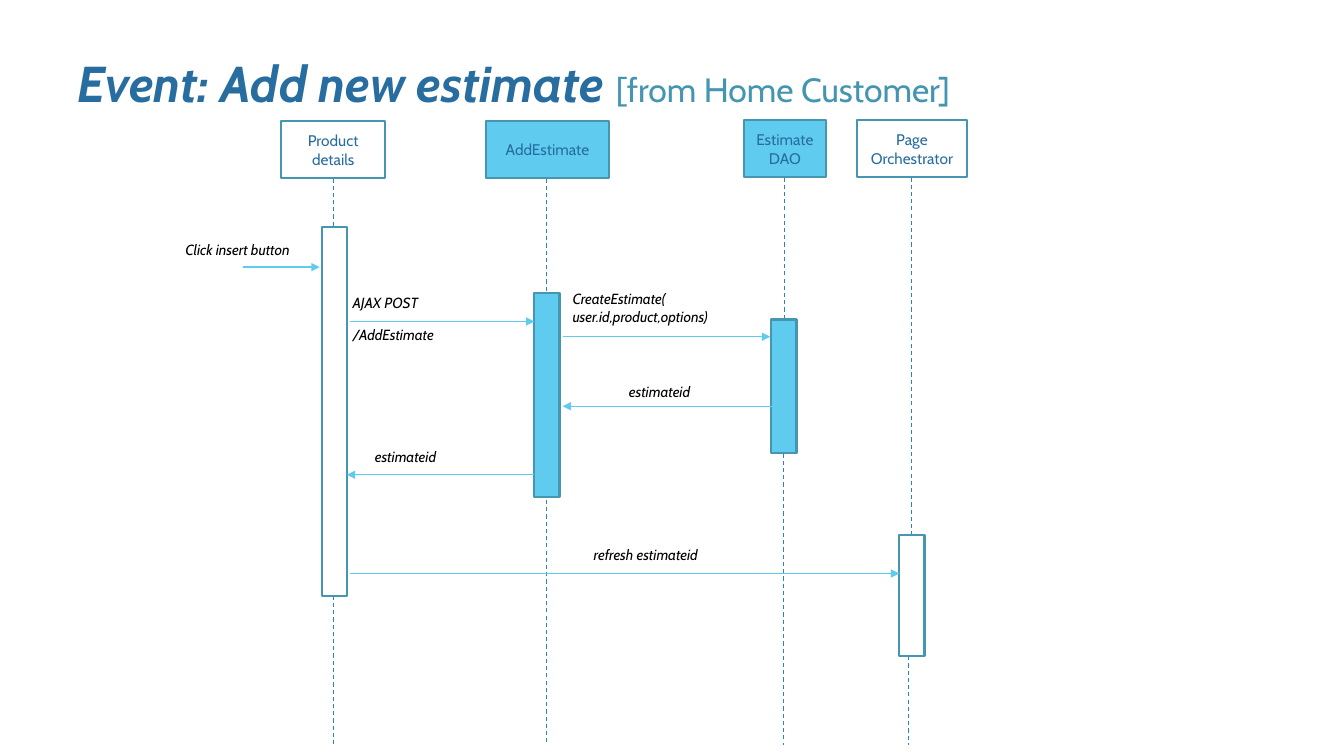
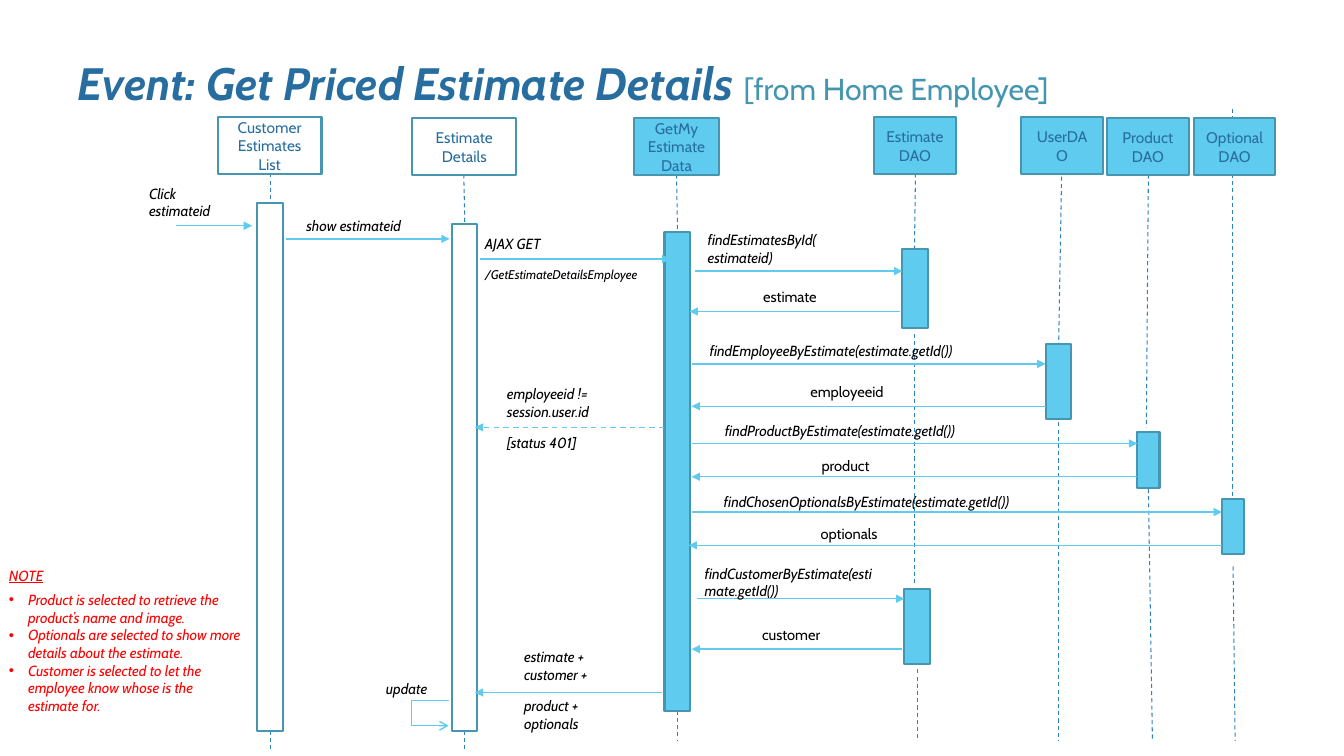
from itertools import pairwise
from lxml.etree import SubElement
from pptx import Presentation
from pptx.dml.color import RGBColor
from pptx.enum.dml import MSO_LINE
from pptx.enum.shapes import MSO_CONNECTOR, MSO_SHAPE
from pptx.enum.text import MSO_ANCHOR, PP_ALIGN
from pptx.oxml.ns import qn
from pptx.util import Cm, Pt

FONT = "Cabin"
NAVY = RGBColor(0x28, 0x6D, 0x9F)
TEAL = RGBColor(0x44, 0x95, 0xB0)
BORDER = RGBColor(0x46, 0x96, 0xB1)
SKY = RGBColor(0x5F, 0xCB, 0xEF)
LIFELINE = RGBColor(0x2E, 0x83, 0xC3)
BLACK = RGBColor(0, 0, 0)
RED = RGBColor(0xFF, 0, 0)
HEADER_HEIGHT = 0.57
LABEL_HEIGHT = 0.28
CM_PER_INCH = 2.54

# Participants: name, filled, header (left, top, width),
# bars (left, top, width, height), lifelines (x, y, x, y).
# Messages: from x, to x, y, dashed.
# Labels: left, top, width, italic, blocks of (text, size).
ADD_ESTIMATE = {
    "title": ("Event: Add new estimate ", "[from Home Customer]", 36),
    "participants": [
        ("Product details", False, (2.79, 1.2, 1.03), [(3.19, 2.25, 0.25, 3.66)],
         [(3.31, 1.77, 3.31, 2.25), (3.31, 5.91, 3.31, 7.39)]),
        ("AddEstimate", True, (4.82, 1.2, 1.22), [(5.3, 2.91, 0.25, 2.02)],
         [(5.42, 1.77, 5.42, 2.91), (5.42, 4.96, 5.42, 7.39)]),
        ("Estimate\nDAO", True, (7.38, 1.19, 0.81), [(7.65, 3.17, 0.25, 1.32)],
         [(7.78, 1.76, 7.78, 3.17), (7.77, 4.5, 7.77, 7.39)]),
        ("Page Orchestrator", False, (8.5, 1.19, 1.09), [(8.92, 5.31, 0.25, 1.2)],
         [(9.04, 1.76, 9.04, 5.31), (9.01, 6.51, 9.01, 7.39)]),
    ],
    "messages": [
        (2.41, 3.17, 2.65, False),
        (3.47, 5.3, 3.19, False),
        (5.58, 7.64, 3.34, False),
        (7.66, 5.58, 4.03, False),
        (5.3, 3.44, 4.71, False),
        (3.47, 8.92, 5.69, False),
    ],
    "labels": [
        (1.74, 2.34, 1.35, True, [("Click insert button", 10.5)]),
        (3.4, 2.87, 2.37, True, [("AJAX POST", 10.5), ("/AddEstimate", 10.5)]),
        (5.58, 2.83, 1.99, True, [("CreateEstimate(\nuser.id,product,options)", 10.5)]),
        (6.14, 3.75, 0.93, True, [("estimateid", 10.5)]),
        (3.62, 4.39, 0.93, True, [("estimateid", 10.5)]),
        (5.79, 5.37, 2.09, True, [("refresh estimateid", 10.5)]),
    ],
}

PRICED_DETAILS = {
    "title": ("Event: Get Priced Estimate Details ", "[from Home Employee]", 32.4),
    "participants": [
        ("Customer\nEstimates\nList", False, (2.16, 1.16, 1.03), [(2.55, 2.01, 0.26, 5.24)],
         [(2.68, 1.72, 2.68, 2.01), (2.68, 7.25, 2.68, 7.43)]),
        ("Estimate\nDetails", False, (4.09, 1.17, 1.03), [(4.48, 2.22, 0.25, 5.03)],
         [(4.6, 1.73, 4.61, 2.22), (4.61, 7.25, 4.61, 7.43)]),
        ("GetMy\nEstimate\nData", True, (6.29, 1.17, 0.84), [(6.59, 2.3, 0.25, 4.75)],
         [(6.71, 1.73, 6.72, 2.3), (6.72, 7.05, 6.72, 7.35)]),
        ("Estimate\nDAO", True, (8.67, 1.16, 0.81),
         [(8.95, 2.47, 0.25, 0.78), (8.97, 5.84, 0.25, 0.75)],
         [(9.08, 1.72, 9.07, 2.47), (9.07, 3.31, 9.07, 5.81), (9.1, 6.64, 9.1, 7.33)]),
        ("UserDAO", True, (10.13, 1.16, 0.81), [(10.37, 3.41, 0.25, 0.75)],
         [(10.53, 1.68, 10.5, 3.41), (10.5, 4.19, 10.5, 7.35)]),
        ("Product\nDAO", True, (10.98, 1.17, 0.81), [(11.28, 4.29, 0.22, 0.55)],
         [(11.39, 1.73, 11.37, 4.24), (11.39, 4.85, 11.43, 7.35)]),
        ("Optional\nDAO", True, (11.84, 1.17, 0.81), [(12.12, 4.95, 0.22, 0.55)],
         [(12.22, 1.08, 12.22, 4.94), (12.23, 5.62, 12.25, 7.35)]),
    ],
    "messages": [
        (1.75, 2.5, 2.24, False),
        (2.84, 4.46, 2.37, False),
        (4.76, 6.65, 2.57, False),
        (6.89, 8.95, 2.69, False),
        (8.93, 6.84, 3.09, False),
        (6.86, 10.37, 3.61, False),
        (10.37, 6.86, 4.03, False),
        (6.59, 4.71, 4.24, True),
        (6.86, 11.28, 4.4, False),
        (11.28, 6.86, 4.73, False),
        (6.86, 12.12, 5.08, False),
        (12.12, 6.83, 5.41, False),
        (6.91, 8.97, 5.94, False),
        (8.95, 6.86, 6.44, False),
        (6.57, 4.71, 6.87, False),
    ],
    "labels": [
        (1.38, 1.78, 0.98, True, [("Click\nestimateid", 10.5)]),
        (2.94, 2.1, 1.5, True, [("show estimateid", 10.5)]),
        (4.71, 2.28, 1.92, True, [("AJAX GET", 10.5), ("/GetEstimateDetailsEmployee", 9)]),
        (6.92, 2.24, 1.8, True, [("findEstimatesById(\nestimateid)", 10.5)]),
        (7.47, 2.81, 0.93, False, [("estimate", 10.5)]),
        (6.94, 3.34, 3.03, True, [("findEmployeeByEstimate(estimate.getId())", 10.5)]),
        (7.94, 3.75, 1.03, False, [("employeeid", 10.5)]),
        (4.93, 3.77, 1.42, True,
         [("employeeid != session.user.id", 10.5), ("[status 401]", 10.5)]),
        (7.09, 4.14, 3.03, True, [("findProductByEstimate(estimate.getId())", 10.5)]),
        (8.05, 4.48, 0.77, False, [("product", 10.5)]),
        (7.08, 4.84, 3.53, True, [("findChosenOptionalsByEstimate(estimate.getId())", 10.5)]),
        (8.04, 5.16, 0.93, False, [("optionals", 10.5)]),
        (6.89, 5.55, 1.92, True, [("findCustomerByEstimate(estimate.getId())", 10.5)]),
        (7.46, 6.16, 0.93, False, [("customer", 10.5)]),
        (5.1, 6.38, 1.4, True,
         [("estimate +\ncustomer +", 10.5), ("product +\noptionals", 10.5)]),
        (3.73, 6.69, 0.77, True, [("update", 10.5)]),
    ],
}

UPDATE_LOOP = [(4.45, 6.95), (4.08, 6.95), (4.08, 7.2), (4.45, 7.2)]
NOTES = [
    "Product is selected to retrieve the product’s name and image.",
    "Optionals are selected to show more details about the estimate.",
    "Customer is selected to let the employee know whose is the estimate for.",
]


def lengths(*inches):
    return [Cm(value * CM_PER_INCH) for value in inches]


def set_font(font, size, color, bold=False, italic=False):
    font.name = FONT
    font.size = Pt(size)
    font.color.rgb = color
    font.bold = bold
    font.italic = italic


def add_text(slide, left, top, width, height):
    box = slide.shapes.add_textbox(*lengths(left, top, width, height))
    box.text_frame.word_wrap = True
    return box.text_frame


def add_line(slide, start, end, color, width, dashed=False, arrow=None):
    connector = slide.shapes.add_connector(MSO_CONNECTOR.STRAIGHT, *lengths(*start, *end))
    connector.line.color.rgb = color
    connector.line.width = Pt(width)
    if dashed:
        connector.line.dash_style = MSO_LINE.DASH
    properties = connector.element.spPr
    if arrow:
        SubElement(properties.find(qn("a:ln")), qn("a:tailEnd"), type=arrow)
    SubElement(properties, qn("a:effectLst"))


def add_box(slide, left, top, width, height, filled, text=""):
    shape = slide.shapes.add_shape(MSO_SHAPE.RECTANGLE, *lengths(left, top, width, height))
    shape.shadow.inherit = False
    if filled:
        shape.fill.solid()
        shape.fill.fore_color.rgb = SKY
    else:
        shape.fill.background()
    shape.line.color.rgb = BORDER
    shape.line.width = Pt(1.5)
    frame = shape.text_frame
    frame.word_wrap = True
    frame.vertical_anchor = MSO_ANCHOR.MIDDLE
    frame.text = text
    for paragraph in frame.paragraphs:
        paragraph.alignment = PP_ALIGN.CENTER
        set_font(paragraph.font, 11, NAVY)


def add_title(slide, event, origin, size):
    frame = add_text(slide, 0.67, 0.45, 11.79, 0.74)
    frame.vertical_anchor = MSO_ANCHOR.MIDDLE
    paragraph = frame.paragraphs[0]
    for text, scale, color, strong in ((event, 1, NAVY, True), (origin, 2 / 3, TEAL, False)):
        run = paragraph.add_run()
        run.text = text
        set_font(run.font, size * scale, color, strong, strong)


def add_label(slide, left, top, width, italic, blocks):
    frame = add_text(slide, left, top, width, LABEL_HEIGHT)
    frame.text = "\n".join(text for text, size in blocks)
    paragraphs = iter(frame.paragraphs)
    for block_index, (text, size) in enumerate(blocks):
        for line_index in range(len(text.split("\n"))):
            paragraph = next(paragraphs)
            if block_index and not line_index:
                paragraph.space_before = Pt(10)
            set_font(paragraph.font, size, BLACK, italic=italic)


def add_notes_box(slide):
    frame = add_text(slide, -0.01, 5.57, 2.52, 1.76)
    frame.text = "\n".join(["NOTE", *NOTES])
    heading, *items = frame.paragraphs
    heading.space_after = Pt(5)
    for paragraph in items:
        properties = paragraph._p.get_or_add_pPr()
        indent = lengths(0.19)[0]
        properties.set("marL", str(indent))
        properties.set("indent", str(-indent))
        SubElement(properties, qn("a:buFont"), typeface="Arial")
        SubElement(properties, qn("a:buChar"), char="•")
    for paragraph in frame.paragraphs:
        set_font(paragraph.font, 10.5, RED, italic=True)
    heading.font.underline = True


def add_sequence(presentation, diagram):
    slide = presentation.slides.add_slide(presentation.slide_layouts[6])
    add_title(slide, *diagram["title"])
    for name, filled, header, bars, lifelines in diagram["participants"]:
        for x1, y1, x2, y2 in lifelines:
            add_line(slide, (x1, y1), (x2, y2), LIFELINE, 0.75, dashed=True)
        add_box(slide, *header, HEADER_HEIGHT, filled, name)
        for bar in bars:
            add_box(slide, *bar, filled)
    for start, end, y, dashed in diagram["messages"]:
        add_line(slide, (start, y), (end, y), SKY, 1, dashed, "triangle")
    for label in diagram["labels"]:
        add_label(slide, *label)
    return slide


def main():
    presentation = Presentation()
    presentation.slide_width, presentation.slide_height = lengths(13.33, 7.5)
    add_sequence(presentation, ADD_ESTIMATE)
    slide = add_sequence(presentation, PRICED_DETAILS)
    for start, end in pairwise(UPDATE_LOOP):
        add_line(slide, start, end, SKY, 1, arrow="arrow" if end == UPDATE_LOOP[-1] else None)
    add_notes_box(slide)
    presentation.save("out.pptx")


if __name__ == "__main__":
    main()
